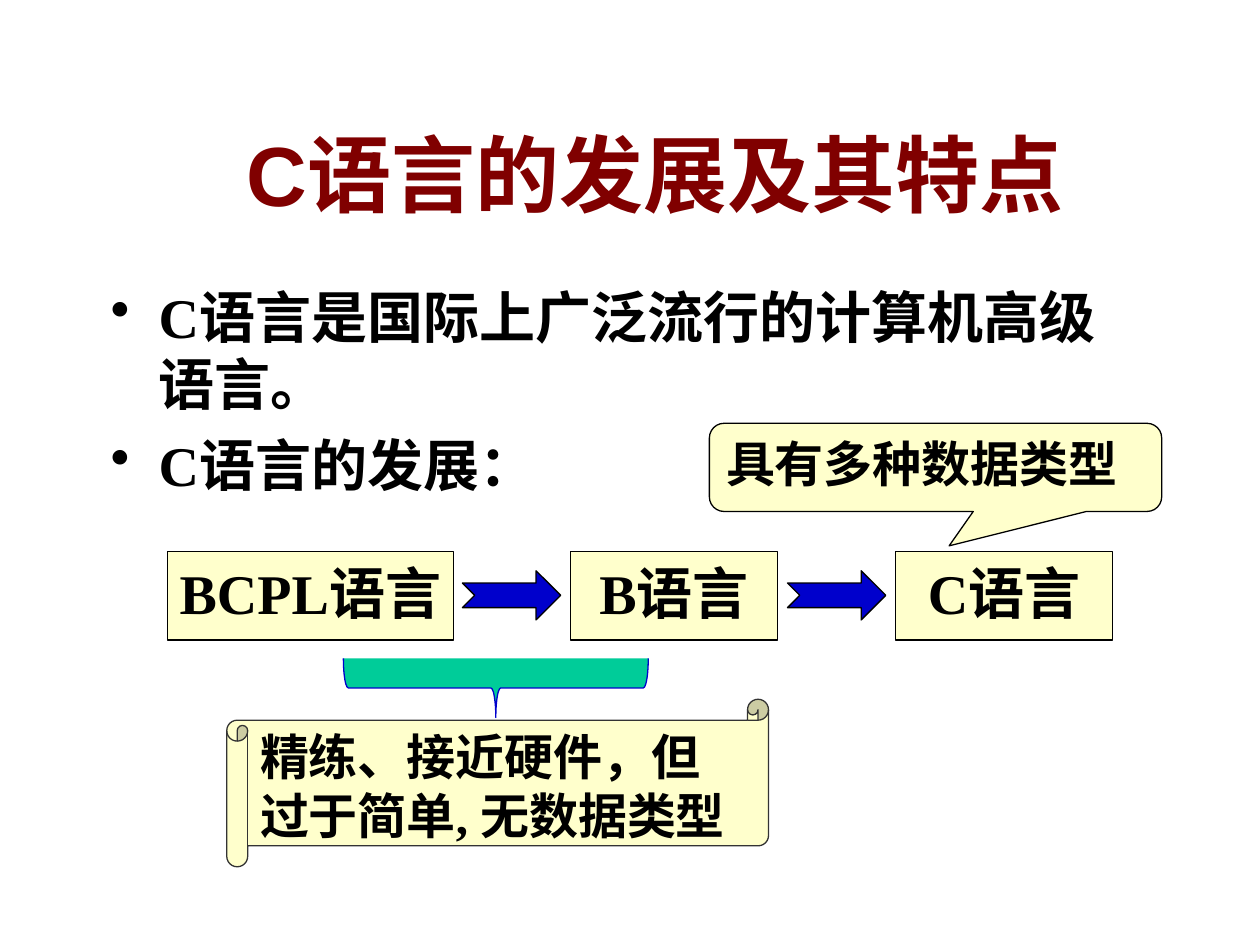
from dataclasses import dataclass

from lxml import etree
from pptx import Presentation
from pptx.dml.color import RGBColor
from pptx.enum.shapes import MSO_SHAPE
from pptx.enum.text import MSO_ANCHOR, PP_ALIGN
from pptx.oxml.ns import qn
from pptx.util import Emu, Pt

EMU_PER_PX = 9144
LEFT, CENTER = PP_ALIGN.LEFT, PP_ALIGN.CENTER
TOP, MIDDLE = MSO_ANCHOR.TOP, MSO_ANCHOR.MIDDLE
PROCESS = MSO_SHAPE.FLOWCHART_PROCESS
ARROW = MSO_SHAPE.NOTCHED_RIGHT_ARROW
BRACE = MSO_SHAPE.RIGHT_BRACE
SCROLL = MSO_SHAPE.HORIZONTAL_SCROLL
CALLOUT = MSO_SHAPE.ROUNDED_RECTANGULAR_CALLOUT


@dataclass(frozen=True)
class Theme:
    title_font: str = "Arial"
    body_font: str = "Times New Roman"
    title_size: int = 48
    body_size: int = 32
    note_size: int = 28
    title: str = "800000"
    ink: str = "000000"
    scroll_line: str = "333333"
    cream: str = "FFFFCC"
    blue: str = "0000CC"
    green: str = "00CC99"


THEME = Theme()


def px(value):
    return Emu(value * EMU_PER_PX)


def write(shape, lines, size, font=THEME.body_font, color=THEME.ink,
          align=LEFT, anchor=TOP, wrap=False):
    frame = shape.text_frame
    frame.text = "\n".join(lines)
    frame.word_wrap = wrap
    frame.vertical_anchor = anchor
    for paragraph in frame.paragraphs:
        paragraph.alignment = align
        paragraph.font.name = font
        paragraph.font.size = Pt(size)
        paragraph.font.bold = True
        paragraph.font.color.rgb = RGBColor.from_string(color)


def add_figure(slide, kind, box, fill, line=THEME.ink):
    shape = slide.shapes.add_shape(kind, *map(px, box))
    shape.shadow.inherit = False
    shape.fill.solid()
    shape.fill.fore_color.rgb = RGBColor.from_string(fill)
    shape.line.color.rgb = RGBColor.from_string(line)
    shape.line.width = Pt(0.75)
    return shape


def add_title(slide, box, text):
    title = slide.shapes.title
    title.left, title.top, title.width, title.height = map(px, box)
    write(title, [text], THEME.title_size, THEME.title_font, THEME.title,
          CENTER, MIDDLE, True)


def add_bullets(slide, box, lines):
    body = slide.shapes.add_textbox(*map(px, box))
    body.text_frame.text = "\n".join(lines)
    write(body, lines, THEME.body_size, wrap=True)
    for index, paragraph in enumerate(body.text_frame.paragraphs):
        properties = paragraph.font._element.getparent()
        properties.set("marL", str(px(38)))
        properties.set("indent", str(-px(38)))
        bullet = etree.Element(qn("a:buChar"), char="•")
        paragraph.font._element.addprevious(bullet)
        if index:
            paragraph.space_before = Pt(8)


def add_history(slide, box, stages):
    left, top, _, height = box
    arrow_width, arrow_height, arrow_gap = 78, 39, 8
    arrow_top = top + (height - arrow_height) // 2
    for offset, width, name in stages:
        stage = add_figure(slide, PROCESS, (left + offset, top, width, height),
                           THEME.cream)
        write(stage, [name], THEME.body_size, align=CENTER)
    for offset, _, _ in stages[1:]:
        arrow_left = left + offset - arrow_gap - arrow_width
        add_figure(slide, ARROW,
                   (arrow_left, arrow_top, arrow_width, arrow_height),
                   THEME.blue)


def add_brace(slide, box):
    left, top, width, height = box
    upright = (left + (width - height) // 2, top + (height - width) // 2,
               height, width)
    brace = add_figure(slide, BRACE, upright, THEME.green, THEME.blue)
    brace.rotation = 90


def add_scroll(slide, box, lines):
    scroll = add_figure(slide, SCROLL, box, THEME.cream, THEME.scroll_line)
    write(scroll, lines, THEME.note_size)


def add_callout(slide, box, text):
    callout = add_figure(slide, CALLOUT, box, THEME.cream)
    callout.adjustments[0] = 0.03
    callout.adjustments[1] = 0.89
    write(callout, [text], THEME.note_size)


def main():
    presentation = Presentation()
    presentation.slide_width, presentation.slide_height = px(1000), px(750)
    slide = presentation.slides.add_slide(presentation.slide_layouts[5])
    add_title(slide, (102, 86, 836, 103), "C语言的发展及其特点")
    add_bullets(slide, (78, 219, 835, 234),
                ["C语言是国际上广泛流行的计算机高级语言。", "C语言的发展："])
    add_history(slide, (133, 438, 750, 70),
                [(0, 227, "BCPL语言"), (320, 164, "B语言"), (578, 172, "C语言")])
    add_brace(slide, (273, 523, 242, 47))
    add_scroll(slide, (180, 555, 430, 133),
               ["精练、接近硬件，但", "过于简单, 无数据类型"])
    add_callout(slide, (563, 336, 359, 70), "具有多种数据类型")
    presentation.save("out.pptx")


if __name__ == "__main__":
    main()
